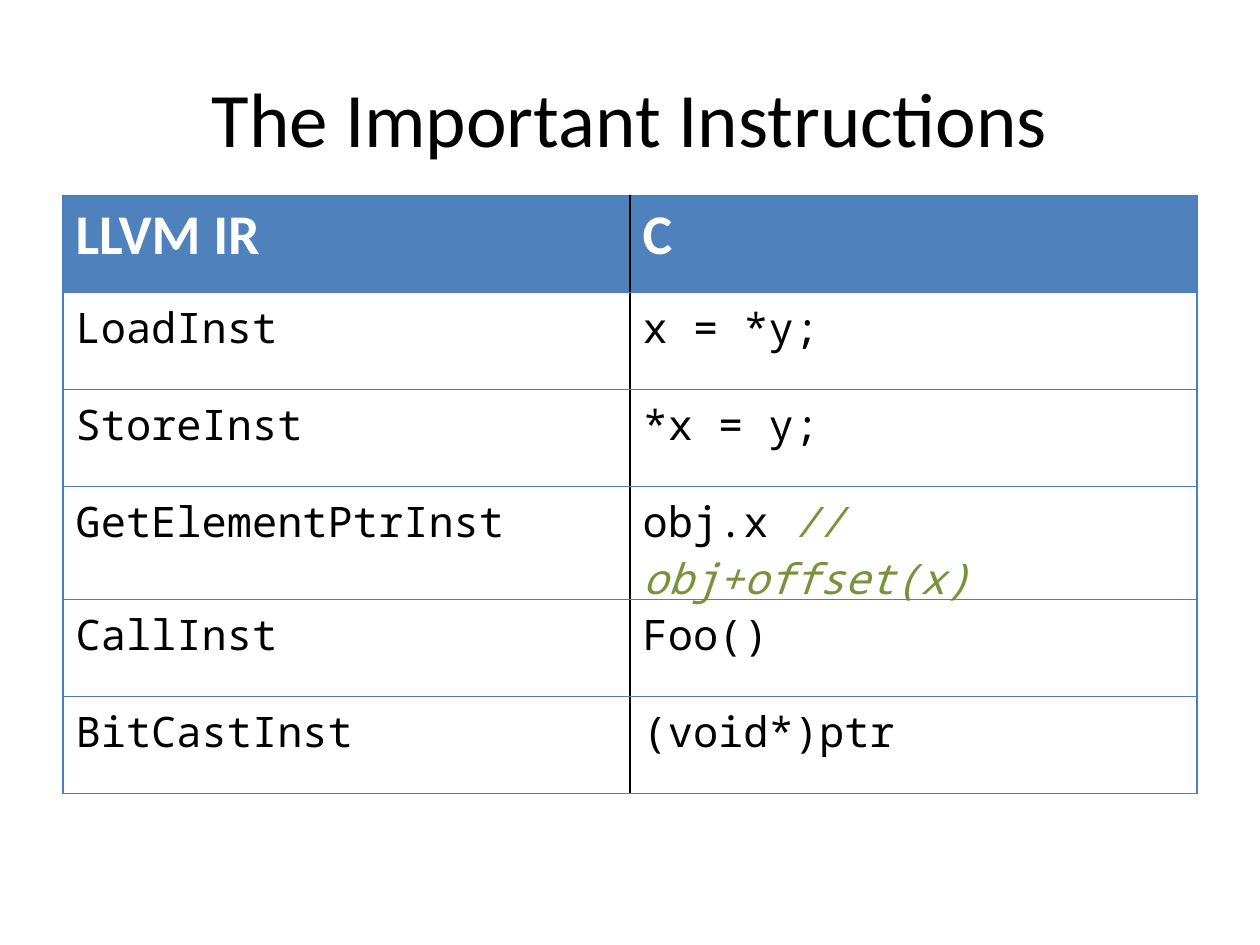
from lxml.etree import SubElement
from pptx import Presentation
from pptx.dml.color import RGBColor
from pptx.enum.text import MSO_ANCHOR, PP_ALIGN
from pptx.oxml.ns import qn
from pptx.util import Inches, Pt

COLORS = {
    "text": "000000",
    "head": "4F81BD",
    "white": "FFFFFF",
    "edge": "4B7EBC",
    "note": "77933C",
}
ROWS = [
    ("LLVM IR", "C"),
    ("LoadInst", "x = *y;"),
    ("StoreInst", "*x = y;"),
    ("GetElementPtrInst", "obj.x "),
    ("CallInst", "Foo()"),
    ("BitCastInst", "(void*)ptr"),
]
NOTES = {(3, 1): "// obj+offset(x)"}


def style(run, font, size, color, bold=False, slant=False):
    run.font.name = font
    run.font.size = Pt(size)
    run.font.bold = bold
    run.font.italic = slant
    run.font.color.rgb = RGBColor.from_string(COLORS[color])


def border(cell, side, color, width):
    line = SubElement(cell._tc.get_or_add_tcPr(), qn("a:ln" + side), w=str(Pt(width)))
    fill = SubElement(line, qn("a:solidFill"))
    SubElement(fill, qn("a:srgbClr"), val=COLORS[color])


def add_title(slide, left, top, width, height):
    box = slide.shapes.add_textbox(left, top, width, height)
    frame = box.text_frame
    frame.word_wrap = True
    frame.vertical_anchor = MSO_ANCHOR.MIDDLE
    frame.text = "The Important Instructions"
    para = frame.paragraphs[0]
    para.alignment = PP_ALIGN.CENTER
    style(para.runs[0], "Calibri", 44, "text")


def fill_cell(cell, row, col):
    inner = ("text", 1)
    outer = ("edge", 0.75)
    border(cell, "L", *(inner if col else outer))
    border(cell, "R", *(outer if col else inner))
    for side in "TB":
        border(cell, side, *outer)

    para = cell.text_frame.paragraphs[0]
    para.text = ROWS[row][col]
    if row == 0:
        cell.fill.solid()
        cell.fill.fore_color.rgb = RGBColor.from_string(COLORS["head"])
        style(para.runs[0], "Calibri", 32, "white", bold=True)
    else:
        cell.fill.background()
        style(para.runs[0], "Noto Sans Mono", 24, "text")
    if (row, col) in NOTES:
        note = para.add_run()
        note.text = NOTES[row, col]
        style(note, "Noto Sans Mono", 24, "note", slant=True)


def add_grid(slide, left, top, width, height):
    frame = slide.shapes.add_table(len(ROWS), len(ROWS[0]), left, top, width, height)
    table = frame.table
    table.horz_banding = False
    for row in range(len(ROWS)):
        for col in range(len(ROWS[0])):
            fill_cell(table.cell(row, col), row, col)


def main():
    deck = Presentation()
    deck.slide_width = Inches(10)
    deck.slide_height = Inches(7.5)
    slide = deck.slides.add_slide(deck.slide_layouts[6])
    add_title(slide, Inches(0.5), Inches(0.3), Inches(9), Inches(1.25))
    add_grid(slide, Inches(0.5), Inches(1.55), Inches(9), Inches(4.62))
    deck.save("out.pptx")


if __name__ == "__main__":
    main()
